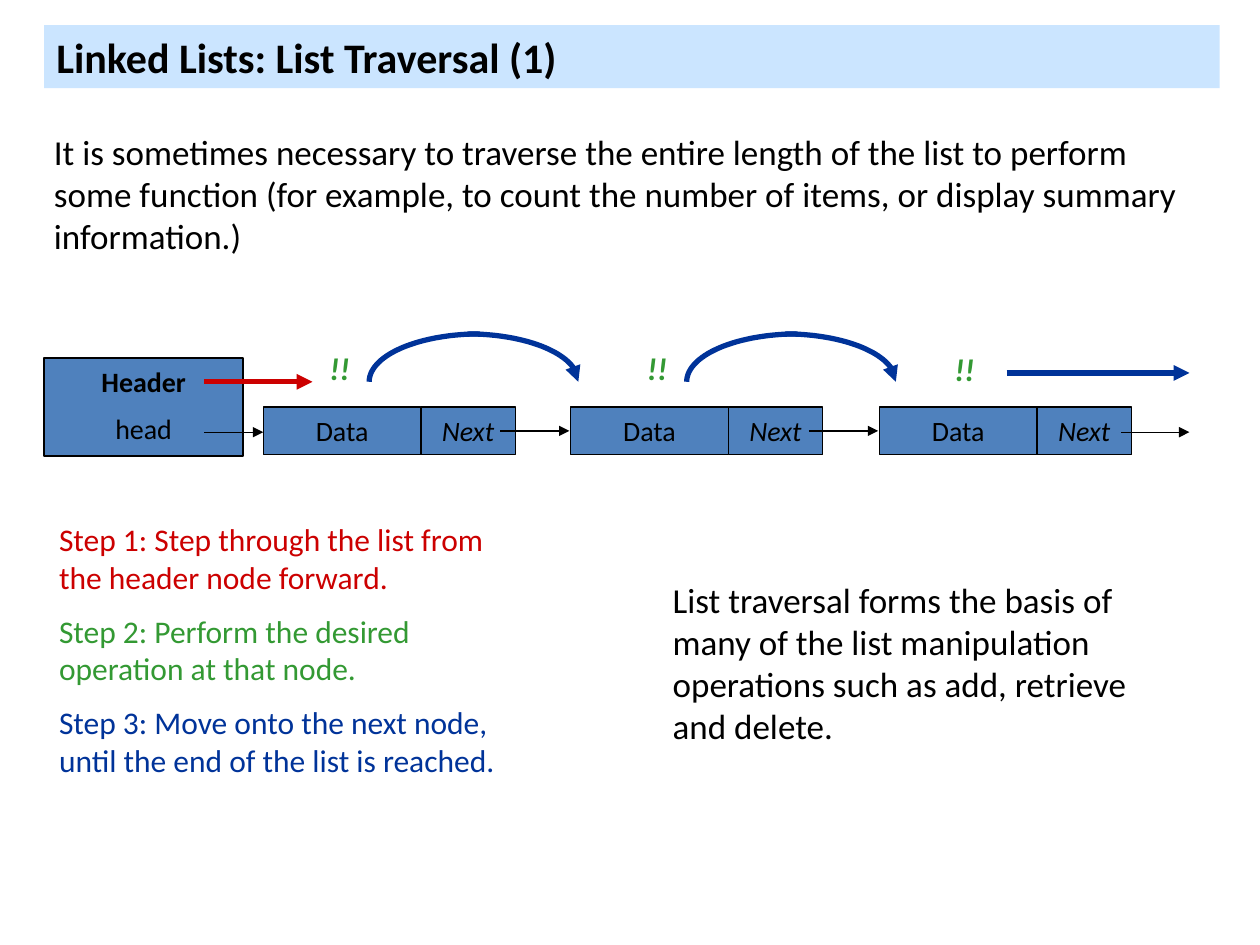
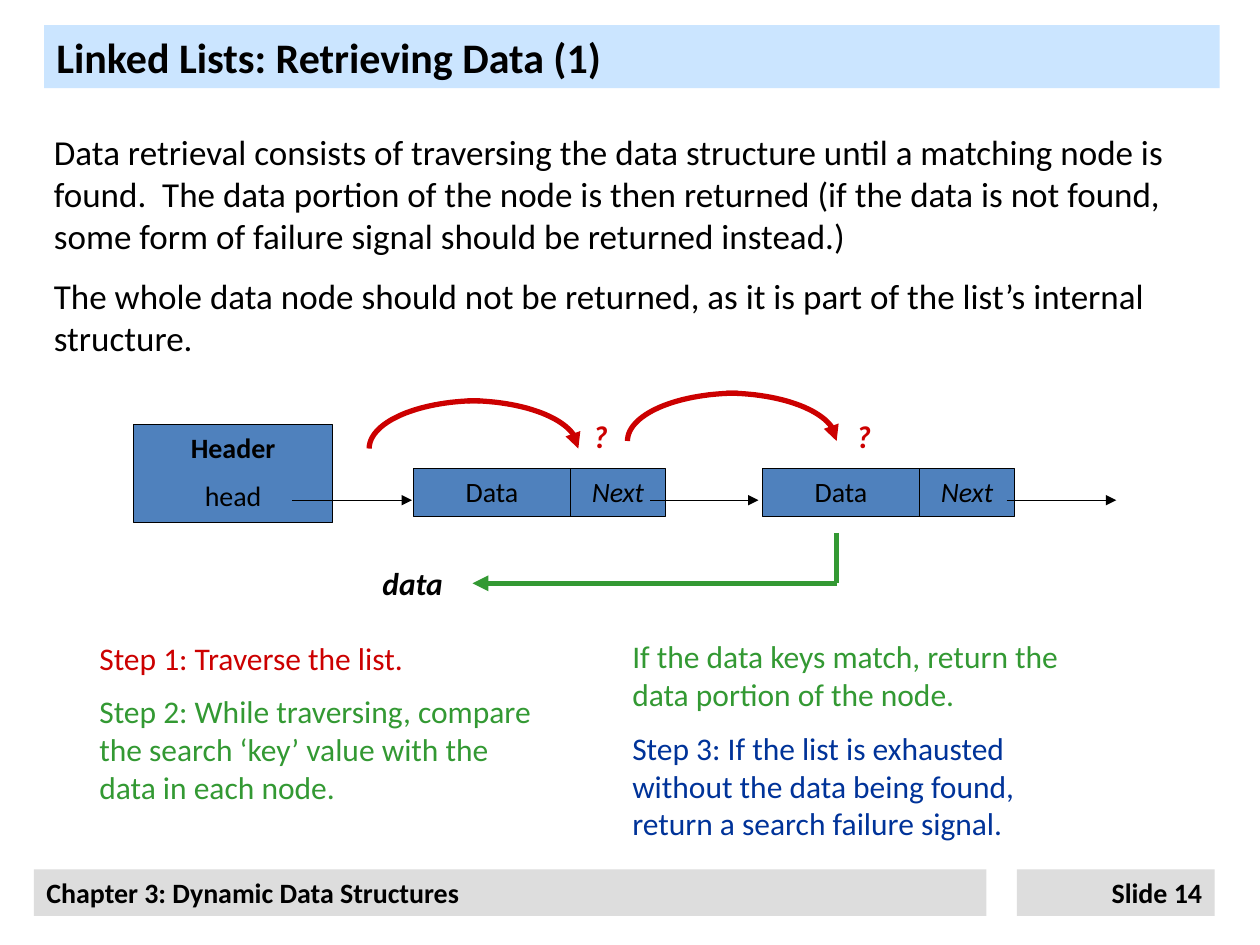
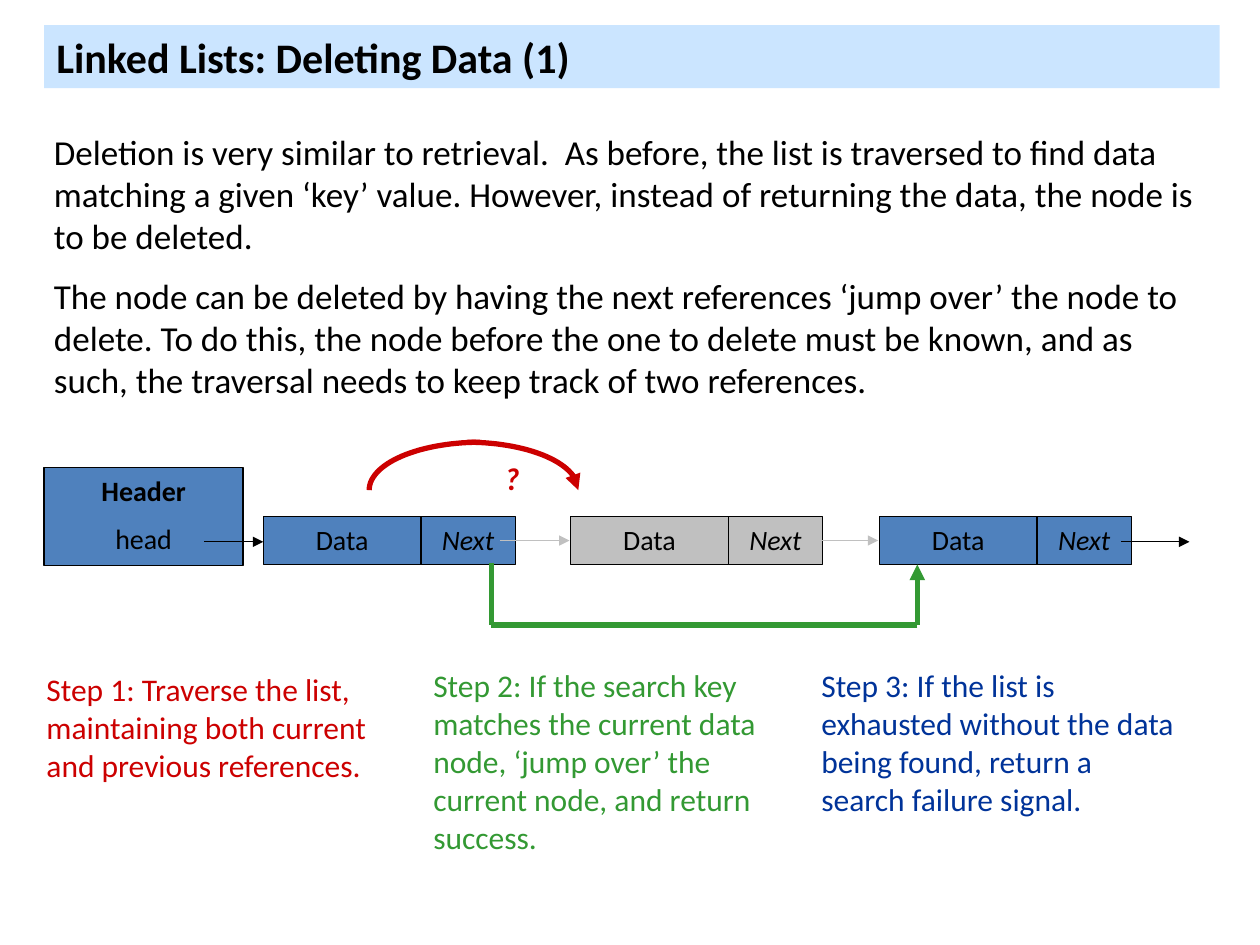
import math

import pptx
import pptx.dml.color
import pptx.enum.shapes
import pptx.enum.text
import pptx.oxml
import pptx.oxml.ns
import pptx.util
from lxml import etree

Inches = pptx.util.Inches
Pt = pptx.util.Pt
RGB = pptx.dml.color.RGBColor
ALIGN = pptx.enum.text.PP_ALIGN
RECT = pptx.enum.shapes.MSO_SHAPE.RECTANGLE
LINE = pptx.enum.shapes.MSO_CONNECTOR.STRAIGHT
qn = pptx.oxml.ns.qn

# Colours
BLACK = RGB(0x00, 0x00, 0x00)
RED = RGB(0xCC, 0x00, 0x00)
GREEN = RGB(0x33, 0x99, 0x33)
NAVY = RGB(0x00, 0x33, 0x99)
BLUE = RGB(0x4F, 0x81, 0xBD)
SILVER = RGB(0xC0, 0xC0, 0xC0)
BAND = RGB(0x99, 0xCC, 0xFF)
PALE = RGB(0xDD, 0xDD, 0xDD)

# Text formats
TITLE = {"size": Pt(24), "bold": True}
BODY = {"size": Pt(20)}
STEP = {"size": Pt(18)}
MARK = {"size": Pt(18), "bold": True, "italic": True}
CELL = {"size": Pt(16)}
HEAD = {"size": Pt(16), "bold": True}
NEXT = {"size": Pt(16), "italic": True}

# Sizes in inches
DATA_W, NEXT_W, CELL_H = 1.25, 0.75, 0.38
HEAD_W, HEAD_H = 1.58, 0.78
ARC_W, ARC_H, ARC_SPAN = 0.88, 0.38, 1.66
THIN, THICK = 0.75, 3
NODES = (2.09, 4.53, 6.98)


def write(shape, paras, align=ALIGN.LEFT):
    """Fill a shape with (text, format, colour) paragraphs."""
    frame = shape.text_frame
    frame.word_wrap = True
    frame.vertical_anchor = pptx.enum.text.MSO_ANCHOR.TOP
    for num, (text, form, tone) in enumerate(paras):
        para = frame.paragraphs[0] if num == 0 else frame.add_paragraph()
        para.alignment = align
        if num:
            para.space_before = form["size"] // 2
        run = para.add_run()
        run.text = text
        for key, value in {"name": "Calibri", **form}.items():
            setattr(run.font, key, value)
        run.font.color.rgb = tone


def add_text(slide, left, top, width, height, paras, align=ALIGN.LEFT):
    box = slide.shapes.add_textbox(*map(Inches, (left, top, width, height)))
    write(box, paras, align)


def add_box(slide, left, top, width, height, fill, paras,
            align=ALIGN.CENTER, edge=True):
    box = slide.shapes.add_shape(RECT, *map(Inches, (left, top, width, height)))
    box.shadow.inherit = False
    box.fill.solid()
    box.fill.fore_color.rgb = fill
    if edge:
        box.line.color.rgb = BLACK
        box.line.width = Pt(THIN)
    else:
        box.line.fill.background()
    write(box, paras, align)
    return box


def stroke(shape, tone, width, tip):
    """Style a line, with an arrowhead at its end if tip is set."""
    shape.line.color.rgb = tone
    shape.line.width = Pt(width)
    if tip:
        edge = shape._element.spPr.find(qn("a:ln"))
        etree.SubElement(edge, qn("a:tailEnd"), type="triangle")


def add_line(slide, x1, y1, x2, y2, tone=BLACK, width=THIN, tip=True):
    line = slide.shapes.add_connector(LINE, *map(Inches, (x1, y1, x2, y2)))
    stroke(line, tone, width, tip)
    etree.SubElement(line._element.spPr, qn("a:effectLst"))


def add_jump(slide, left, top, tone):
    """Draw a hop as two quarter arcs, the right one with an arrowhead."""
    group = slide.shapes.add_group_shape()
    right = left + ARC_SPAN
    for mid, side in ((right - ARC_W, 1), (left + ARC_W, -1)):
        points = []
        for turn in range(0, 91, 3):
            angle = math.radians(turn)
            points.append((Inches(mid + side * ARC_W * math.sin(angle)),
                           Inches(top + ARC_H * (1 - math.cos(angle)))))
        path = group.shapes.build_freeform(*points[0])
        path.add_line_segments(points[1:], close=False)
        curve = path.convert_to_shape()
        curve.fill.background()
        curve.shadow.inherit = False
        stroke(curve, tone, THICK, side == 1)


def add_mark(slide, left, top, text, tone, width=0.91):
    add_text(slide, left, top, width, 0.4, [(text, MARK, tone)], ALIGN.CENTER)


def add_node(slide, left, top, fill=BLUE):
    add_box(slide, left, top, DATA_W, CELL_H, fill, [("Data", CELL, BLACK)])
    add_box(slide, left + DATA_W, top, NEXT_W, CELL_H, fill,
            [("Next", NEXT, BLACK)])


def add_head(slide, left, top):
    add_box(slide, left, top, HEAD_W, HEAD_H, BLUE,
            [("Header", HEAD, BLACK), ("head", CELL, BLACK)])


def add_chain(slide, top, fills, link):
    """Draw the header, three nodes and the links between them."""
    for left, fill in zip(NODES, fills):
        add_node(slide, left, top, fill)
    add_head(slide, 0.35, top - 0.39)
    add_line(slide, 1.62, top + 0.2, 2.09, top + 0.2)
    for start in (3.97, 6.42):
        add_line(slide, start, top + 0.19, start + 0.55, top + 0.19, link)
    add_line(slide, 8.9, top + 0.2, 9.44, top + 0.2)


def add_page(deck, title, height, texts):
    """Start a slide with its title band and opening text."""
    slide = deck.slides.add_slide(deck.slide_layouts[6])
    band = add_box(slide, 0.35, 0.2, 9.33, 0.5, BAND,
                   [(title, TITLE, BLACK)], ALIGN.LEFT, edge=False)
    tint = band._element.spPr.find(qn("a:solidFill"))[0]
    etree.SubElement(tint, qn("a:alpha"), val="50000")
    add_text(slide, 0.33, 0.99, 9.33, height,
             [(text, BODY, BLACK) for text in texts])
    return slide


def add_foot(slide, chapter, number):
    for left, width, text, align in ((0.27, 7.56, chapter, ALIGN.LEFT),
                                     (8.07, 1.57, number, ALIGN.RIGHT)):
        add_box(slide, left, 6.9, width, 0.37, PALE,
                [(text, HEAD, BLACK)], align, edge=False)


def show_walk(deck):
    slide = add_page(deck, "Linked Lists: List Traversal (1)", 1.1, [
        "It is sometimes necessary to traverse the entire length of the list "
        "to perform some function (for example, to count the number of items, "
        "or display summary information.)"])
    add_chain(slide, 3.23, (BLUE, BLUE, BLUE), BLACK)
    # Walk along the nodes
    for left in (2.93, 5.45):
        add_jump(slide, left, 2.65, NAVY)
    for left, top in ((2.24, 2.72), (4.76, 2.72), (7.2, 2.73)):
        add_mark(slide, left, top, "!!", GREEN)
    add_line(slide, 7.99, 2.96, 9.44, 2.96, NAVY, THICK)
    add_line(slide, 1.62, 3.03, 2.48, 3.03, RED, THICK)
    # Steps
    add_text(slide, 0.37, 4.08, 3.92, 2.51, [
        ("Step 1: Step through the list from the header node forward.",
         STEP, RED),
        ("Step 2: Perform the desired operation at that node.", STEP, GREEN),
        ("Step 3: Move onto the next node, until the end of the list is "
         "reached.", STEP, NAVY)])
    add_text(slide, 5.24, 4.54, 4.22, 1.43, [
        ("List traversal forms the basis of many of the list manipulation "
         "operations such as add, retrieve and delete.", BODY, BLACK)])


def show_fetch(deck):
    slide = add_page(deck, "Linked Lists: Retrieving Data (1)", 1.93, [
        "Data retrieval consists of traversing the data structure until a "
        "matching node is found.  The data portion of the node is then "
        "returned (if the data is not found, some form of failure signal "
        "should be returned instead.)",
        "The whole data node should not be returned, as it is part of the "
        "list’s internal structure."])
    add_foot(slide, "Chapter 3: Dynamic Data Structures", "Slide 14")
    # Search along the nodes
    for left, top in ((2.93, 3.18), (4.98, 3.12)):
        add_jump(slide, left, top, RED)
    for left in (4.31, 6.4):
        add_mark(slide, left, 3.26, "?", RED)
    for left in (3.28, 6.05):
        add_node(slide, left, 3.72)
    add_head(slide, 1.06, 3.37)
    for start, end in ((2.32, 3.27), (5.16, 6.02), (7.99, 8.86)):
        add_line(slide, start, 3.97, end, 3.97)
    # Returned data
    add_line(slide, 6.64, 4.23, 6.64, 4.63, GREEN, THICK, tip=False)
    add_line(slide, 6.64, 4.63, 3.75, 4.63, GREEN, THICK)
    add_mark(slide, 2.8, 4.43, "data", BLACK, 0.95)
    # Steps
    add_text(slide, 0.69, 5.02, 3.68, 1.45, [
        ("Step 1: Traverse the list.", STEP, RED),
        ("Step 2: While traversing, compare the search ‘key’ value with the "
         "data in each node.", STEP, GREEN)])
    add_text(slide, 4.92, 5.01, 3.86, 1.75, [
        ("If the data keys match, return the data portion of the node.",
         STEP, GREEN),
        ("Step 3: If the list is exhausted without the data being found, "
         "return a search failure signal.", STEP, NAVY)])


def show_drop(deck):
    slide = add_page(deck, "Linked Lists: Deleting Data (1)", 2.27, [
        "Deletion is very similar to retrieval.  As before, the list is "
        "traversed to find data matching a given ‘key’ value. However, "
        "instead of returning the data, the node is to be deleted.",
        "The node can be deleted by having the next references ‘jump over’ "
        "the node to delete. To do this, the node before the one to delete "
        "must be known, and as such, the traversal needs to keep track of "
        "two references."])
    add_jump(slide, 2.93, 3.51, RED)
    add_mark(slide, 3.61, 3.59, "?", RED)
    add_chain(slide, 4.1, (BLUE, SILVER, BLUE), SILVER)
    # Link that skips the deleted node
    add_line(slide, 3.9, 4.47, 3.9, 4.96, GREEN, THICK, tip=False)
    add_line(slide, 7.28, 4.96, 3.9, 4.96, GREEN, THICK, tip=False)
    add_line(slide, 7.28, 4.96, 7.28, 4.48, GREEN, THICK)
    # Steps
    steps = (
        (0.27, 5.27, 2.99, 1.0, RED,
         "Step 1: Traverse the list, maintaining both current and previous "
         "references."),
        (3.34, 5.24, 3.01, 1.6, GREEN,
         "Step 2: If the search key matches the current data node, ‘jump "
         "over’ the current node, and return success."),
        (6.42, 5.24, 3.02, 1.3, NAVY,
         "Step 3: If the list is exhausted without the data being found, "
         "return a search failure signal."))
    for left, top, width, height, tone, text in steps:
        add_text(slide, left, top, width, height, [(text, STEP, tone)])


def main():
    deck = pptx.Presentation()
    deck.slide_width = Inches(10)
    deck.slide_height = Inches(7.5)
    show_walk(deck)
    show_fetch(deck)
    show_drop(deck)
    deck.save("out.pptx")


if __name__ == "__main__":
    main()
